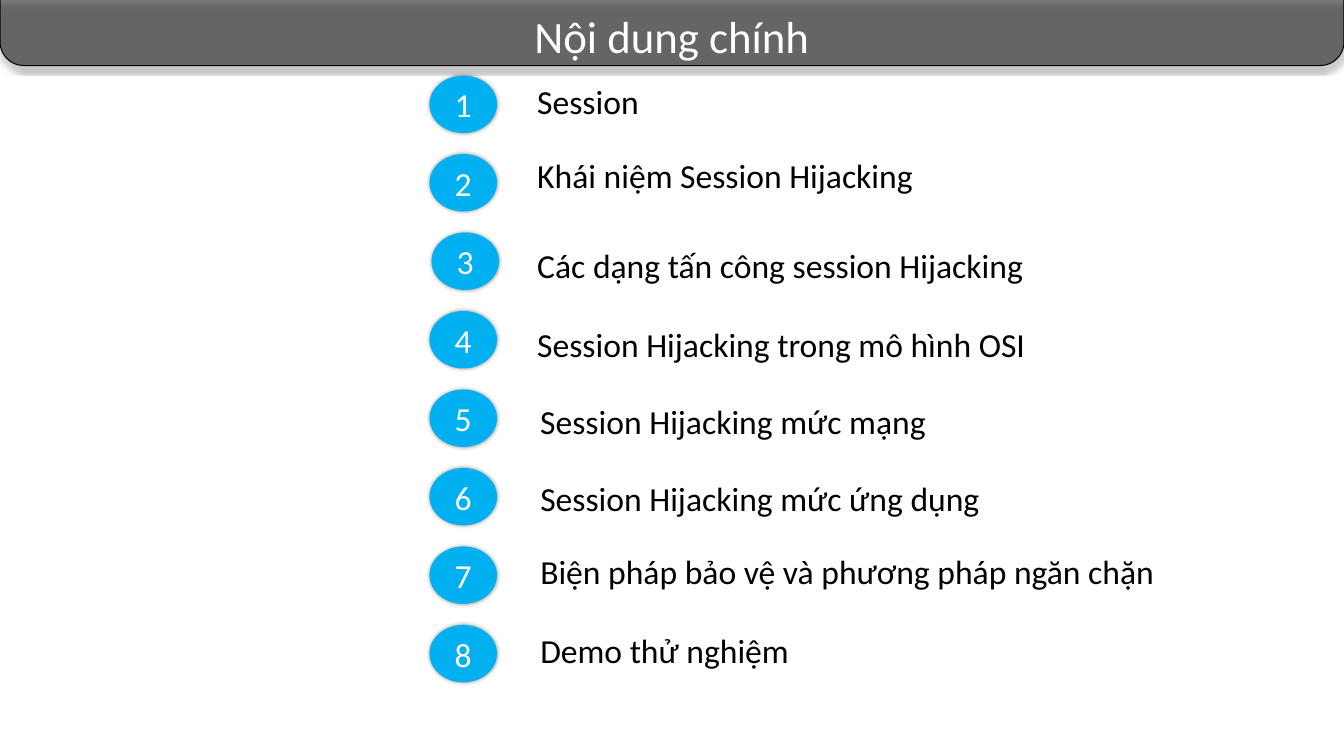
from lxml import etree
from pptx import Presentation
from pptx.dml.color import RGBColor
from pptx.enum.shapes import MSO_SHAPE
from pptx.enum.text import MSO_ANCHOR, MSO_AUTO_SIZE, PP_ALIGN
from pptx.oxml.ns import qn
from pptx.util import Inches, Pt

OVAL = MSO_SHAPE.OVAL
ROUNDED_BAR = MSO_SHAPE.ROUND_2_SAME_RECTANGLE
MIDDLE = MSO_ANCHOR.MIDDLE
TOP = MSO_ANCHOR.TOP
GROW = MSO_AUTO_SIZE.SHAPE_TO_FIT_TEXT
FIXED = MSO_AUTO_SIZE.NONE
LEFT = PP_ALIGN.LEFT
CENTER = PP_ALIGN.CENTER

TITLE = "Nội dung chính"
TOPICS = [
    # PLACEHOLDER
]
TOPICS = [
    ("Session", 4.26, 5.23, 0.75, 4.7),
    ("Khái niệm Session Hijacking", 4.26, 5.23, 1.49, 5.06),
    ("Các dạng tấn công session Hijacking", 4.28, 5.23, 2.38, 5.36),
    ("Session Hijacking trong mô hình OSI", 4.26, 5.23, 3.16, 5.06),
    ("Session Hijacking mức mạng", 4.26, 5.26, 3.93, 4.94),
    ("Session Hijacking mức ứng dụng", 4.26, 5.26, 4.69, 5.41),
    ("Biện pháp bảo vệ và phương pháp ngăn chặn", 4.26, 5.26, 5.42, 6.38),
    ("Demo thử nghiệm", 4.26, 5.26, 6.2, 6.42),
]

THEME = {
    "font": "Calibri",
    "title_size": 32,
    "body_size": 24,
    "dark": RGBColor(0x00, 0x00, 0x00),
    "light": RGBColor(0xFF, 0xFF, 0xFF),
    "badge": RGBColor(0x00, 0xB0, 0xF0),
}

SLIDE_WIDTH, SLIDE_HEIGHT = 13.33, 7.5
BADGE_WIDTH, BADGE_HEIGHT = 0.67, 0.57
FIRST_BADGE_TOP, LAST_BADGE_TOP = 0.75, 6.2
LABEL_HEIGHT = 0.5


def write_text(shape, text, *, size=THEME["body_size"], color=THEME["dark"],
               align=LEFT, anchor=TOP, auto_size=GROW):
    frame = shape.text_frame
    frame.word_wrap = True
    frame.auto_size = auto_size
    frame.vertical_anchor = anchor
    paragraph = frame.paragraphs[0]
    paragraph.alignment = align
    run = paragraph.add_run()
    run.text = text
    run.font.name = THEME["font"]
    run.font.size = Pt(size)
    run.font.color.rgb = color


def add_shadow(shape, blur, distance, angle):
    shape.shadow.inherit = False
    effects = shape.element.spPr.find(qn("a:effectLst"))
    shadow = etree.SubElement(
        effects, qn("a:outerShdw"), blurRad=str(Pt(blur)),
        dist=str(Pt(distance)), dir=str(angle * 60000), rotWithShape="0")
    color = etree.SubElement(shadow, qn("a:srgbClr"), val=str(THEME["dark"]))
    etree.SubElement(color, qn("a:alpha"), val="40000")


def add_header(slide):
    bar = slide.shapes.add_shape(
        ROUNDED_BAR, Inches(0), Inches(-0.02), Inches(SLIDE_WIDTH), Inches(0.67))
    bar.rotation = 180
    bar.adjustments[0] = 0.352
    bar.adjustments[1] = 0
    bar.fill.solid()
    bar.fill.fore_color.rgb = THEME["dark"]
    fill_color = bar.element.spPr.find(qn("a:solidFill"))[0]
    etree.SubElement(fill_color, qn("a:alpha"), val="50000")
    bar.line.color.rgb = THEME["dark"]
    bar.line.width = Pt(0.75)
    add_shadow(bar, blur=4, distance=3, angle=90)
    title = slide.shapes.add_textbox(
        Inches(0), Inches(0.04), Inches(SLIDE_WIDTH), Inches(0.64))
    write_text(title, TITLE, size=THEME["title_size"], color=THEME["light"],
               align=CENTER)


def add_badge(slide, number, left, top):
    badge = slide.shapes.add_shape(
        OVAL, Inches(left), Inches(top), Inches(BADGE_WIDTH), Inches(BADGE_HEIGHT))
    badge.fill.solid()
    badge.fill.fore_color.rgb = THEME["badge"]
    badge.line.fill.background()
    add_shadow(badge, blur=3, distance=0, angle=0)
    write_text(badge, str(number), color=THEME["light"], align=CENTER,
               anchor=MIDDLE, auto_size=FIXED)


def main():
    presentation = Presentation()
    presentation.slide_width = Inches(SLIDE_WIDTH)
    presentation.slide_height = Inches(SLIDE_HEIGHT)
    slide = presentation.slides.add_slide(presentation.slide_layouts[6])
    add_header(slide)
    pitch = (LAST_BADGE_TOP - FIRST_BADGE_TOP) / (len(TOPICS) - 1)
    for index, (topic, badge_left, left, top, width) in enumerate(TOPICS):
        add_badge(slide, index + 1, badge_left, FIRST_BADGE_TOP + index * pitch)
        label = slide.shapes.add_textbox(
            Inches(left), Inches(top), Inches(width), Inches(LABEL_HEIGHT))
        write_text(label, topic)
    presentation.save("out.pptx")


if __name__ == "__main__":
    main()
